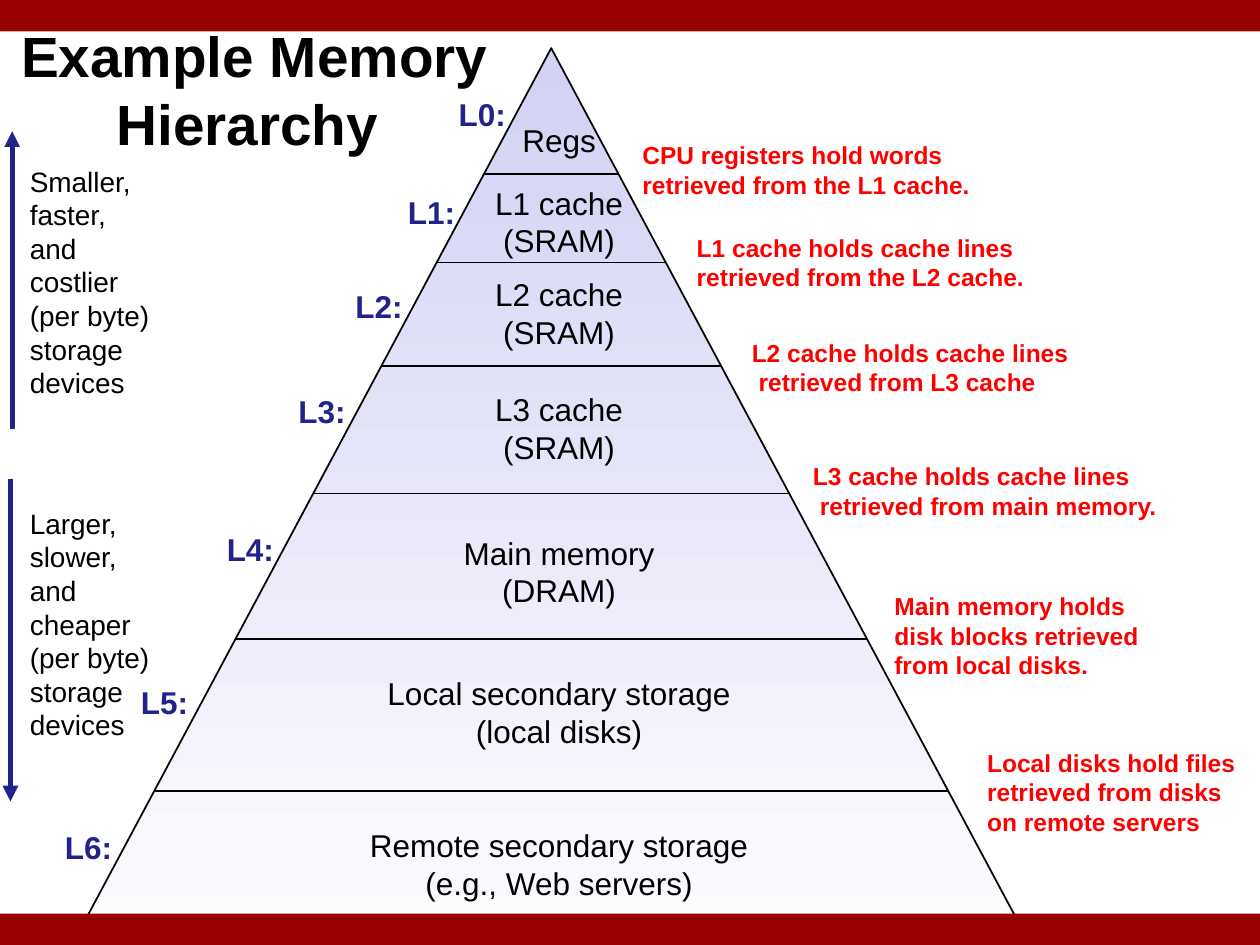
"""Build the memory hierarchy slide."""
from lxml import etree
from pptx import Presentation
from pptx.dml.color import RGBColor
from pptx.enum.shapes import MSO_CONNECTOR, MSO_SHAPE
from pptx.enum.text import MSO_ANCHOR, PP_ALIGN
from pptx.oxml.ns import qn
from pptx.util import Pt

BLACK = RGBColor(0x00, 0x00, 0x00)
NAVY = RGBColor(0x22, 0x22, 0x8B)
RED = RGBColor(0xFF, 0x00, 0x00)
MAROON = RGBColor(0x99, 0x00, 0x00)
LILAC = RGBColor(0xD2, 0xD2, 0xF4)
PALE = RGBColor(0xFC, 0xFC, 0xFE)
LEFT, CENTER = PP_ALIGN.LEFT, PP_ALIGN.CENTER
MIDDLE = MSO_ANCHOR.MIDDLE
STRAIGHT = MSO_CONNECTOR.STRAIGHT
RECT, PEAK = MSO_SHAPE.RECTANGLE, MSO_SHAPE.ISOSCELES_TRIANGLE

deck = Presentation()
deck.slide_width, deck.slide_height = Pt(720), Pt(540)
slide = deck.slides.add_slide(deck.slide_layouts[6])
shapes = slide.shapes


def add_text(lines, x, y, w, h, size, color, bold=False, align=LEFT, wrap=False, indent=0):
    box = shapes.add_textbox(Pt(x), Pt(y), Pt(w), Pt(h))
    frame = box.text_frame
    frame.word_wrap = wrap
    frame.vertical_anchor = MIDDLE
    for i, line in enumerate(lines):
        para = frame.paragraphs[0] if i == 0 else frame.add_paragraph()
        para.alignment = align
        if i and indent:
            para._p.get_or_add_pPr().set("marL", str(Pt(indent)))
        run = para.add_run()
        run.text = line
        font = run.font
        font.name, font.size, font.bold = "Arial", Pt(size), bold
        font.color.rgb = color


def add_line(x1, y1, x2, y2, color, width, arrow=False):
    line = shapes.add_connector(STRAIGHT, Pt(x1), Pt(y1), Pt(x2), Pt(y2))
    line.line.color.rgb = color
    line.line.width = Pt(width)
    if arrow:
        etree.SubElement(line.line._get_or_add_ln(), qn("a:tailEnd"), type="triangle")
    etree.SubElement(line._element.spPr, qn("a:effectLst"))


add_text(["Example Memory", "Hierarchy"], 5, 19.5, 686, 62, 32.4, BLACK,
         bold=True, wrap=True, indent=54.5)

APEX, TOP, BASE, HIGH = 315, 27.5, 543.5, 508.5
peak = shapes.add_shape(PEAK, Pt(APEX - BASE / 2), Pt(TOP), Pt(BASE), Pt(HIGH))
peak.shadow.inherit = False
peak.fill.gradient()
peak.fill.gradient_angle = 90
for stop, color, place in zip(peak.fill.gradient_stops, (PALE, LILAC), (0, 1)):
    stop.color.rgb = color
    stop.position = place
peak.line.color.rgb = BLACK
peak.line.width = Pt(1)

for y in (99.5, 150, 209, 282, 365, 452):
    half = BASE / 2 * (y - TOP) / HIGH
    add_line(APEX - half, y, APEX + half, y, BLACK, 1)

tiers = [
    (["Regs"], 65.5, 255, 50.5),
    (["L1 cache", "(SRAM)"], 101, 226, 106.5),
    (["L2 cache", "(SRAM)"], 153.5, 196, 160.5),
    (["L3 cache", "(SRAM)"], 219, 163.5, 220.5),
    (["Main memory", "(DRAM)"], 301, 122.5, 299),
    (["Local secondary storage", "(local disks)"], 381.5, 73.5, 386.5),
    (["Remote secondary storage", "(e.g., Web servers)"], 468, 30, 469.5),
]
for i, (lines, y, tag_x, tag_y) in enumerate(tiers):
    high = 7 + 22 * len(lines)
    add_text(lines, 203, y, 233, high, 18, BLACK, align=CENTER)
    add_text([f"L{i}:"], tag_x, tag_y, 42, 29, 18, NAVY, bold=True)

notes = [
    (["CPU registers hold words retrieved from the L1 cache."], 360, 76.5, 230, 41),
    (["L1 cache holds cache lines retrieved from the L2 cache."], 391, 129.5, 223, 41),
    (["L2 cache holds cache lines", "retrieved from L3 cache"], 422.5, 189.5, 207, 41),
    (["L3 cache holds cache lines", "retrieved from main memory."], 457.5, 260, 227, 41),
    (["Main memory holds disk blocks retrieved from local disks."], 504, 334, 172, 58),
    (["Local disks hold files retrieved from disks", "on remote servers"],
     557, 423.5, 163, 58),
]
for lines, x, y, w, h in notes:
    indent = 3.9 if lines[-1].startswith("retrieved") else 0
    add_text(lines, x, y, w, h, 14, RED, bold=True, wrap=True, indent=indent)

trends = [
    (["Smaller,", "faster,", "and", "costlier"], 89.5, 7, 245, 75),
    (["Larger,", "slower,", "and", "cheaper"], 285, 6, 273.5, 458),
]
for words, y, x, start, end in trends:
    add_text(words + ["(per byte)", "storage", "devices"], 10, y, 83.5, 143, 16, BLACK)
    add_line(x, start, x, end, NAVY, 3, arrow=True)

for y in (0, 522):
    bar = shapes.add_shape(RECT, Pt(0), Pt(y), Pt(720), Pt(18))
    bar.shadow.inherit = False
    bar.fill.solid()
    bar.fill.fore_color.rgb = MAROON
    bar.line.fill.background()

deck.save("out.pptx")
